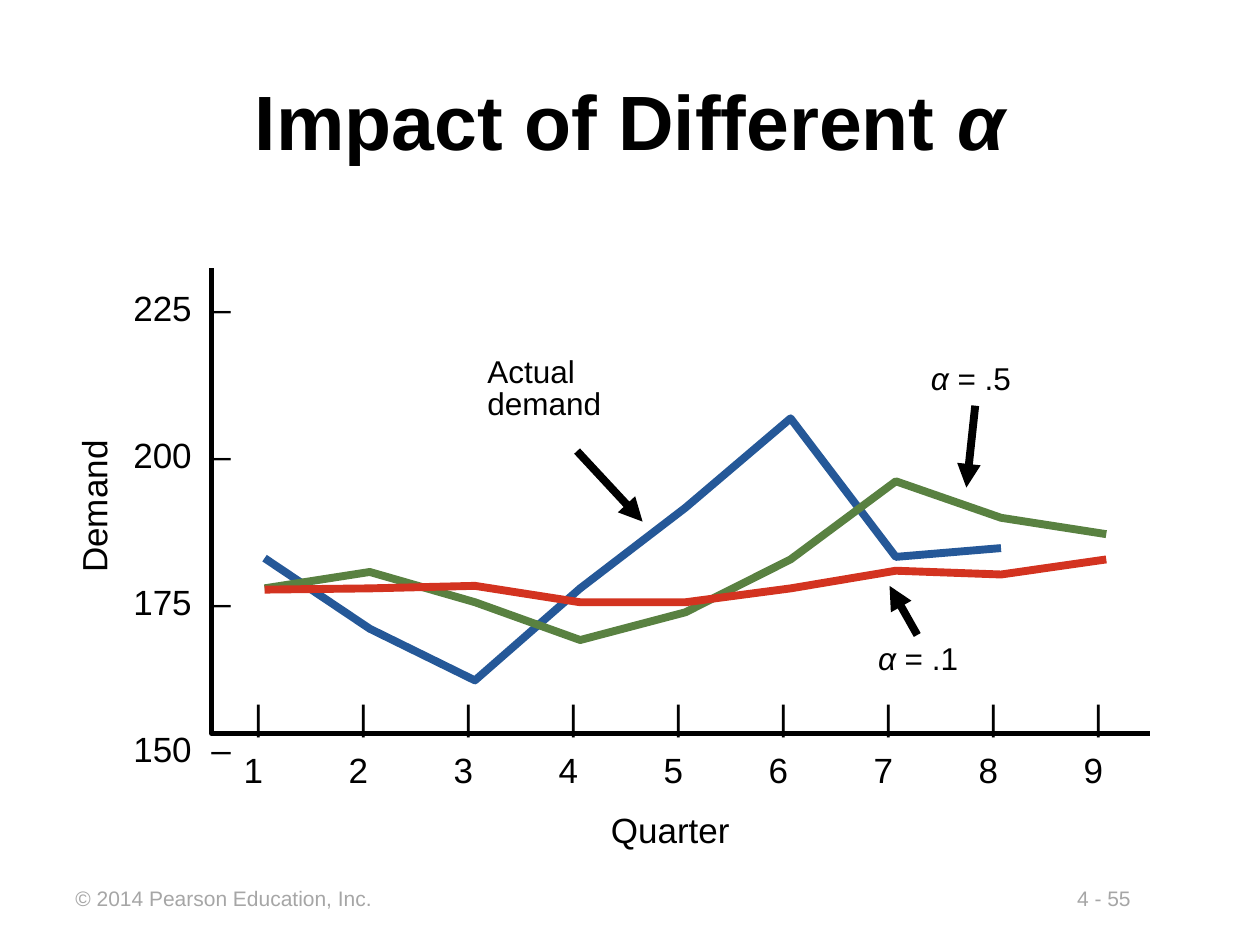
"""Build a slide comparing demand forecasts for two smoothing constants."""
from lxml import etree
from pptx import Presentation
from pptx.dml.color import RGBColor
from pptx.enum.shapes import MSO_CONNECTOR
from pptx.enum.text import MSO_ANCHOR, PP_ALIGN
from pptx.oxml.ns import qn
from pptx.util import Inches, Pt

STRAIGHT = MSO_CONNECTOR.STRAIGHT
LEFT, CENTER = PP_ALIGN.LEFT, PP_ALIGN.CENTER
MIDDLE = MSO_ANCHOR.MIDDLE
BLACK = RGBColor(0x00, 0x00, 0x00)
GRAY = RGBColor(0xA6, 0xA6, 0xA6)
BLUE = RGBColor(0x25, 0x58, 0x98)
GREEN = RGBColor(0x59, 0x81, 0x41)
RED = RGBColor(0xD3, 0x33, 0x20)
FONT = "Arial"

TITLE = [("Impact of Different ", False), ("α", True)]
FOOTERS = [
    ("© 2014 Pearson Education, Inc.", (0.5, 6.98, 2.55, 0.3)),
    ("4 - 55", (8.45, 6.98, 1.2, 0.3)),
]
DEMAND_LEVELS = [225, 200, 175, 150]
QUARTERS = range(1, 10)
FIRST_QUARTER_X, QUARTER_STEP = 2.1, 0.835
FIRST_TICK, TICK_STEP = 0.21, 0.8333
SERIES = [
    (BLUE, [4.43, 4.99, 5.4, 4.67, 4.03, 3.32, 4.42, 4.35]),
    (GREEN, [4.67, 4.54, 4.78, 5.08, 4.86, 4.44, 3.82, 4.11, 4.24]),
    (RED, [4.68, 4.67, 4.65, 4.78, 4.78, 4.67, 4.53, 4.56, 4.44]),
]
AXES = [(1.68, 2.13), (1.68, 5.82), (9.13, 5.82)]
CALLOUTS = [
    ([("α", True), (" = .1", False)], (6.87, 5.02, 0.85, 0.4), 1, (7.06, 4.65), (7.28, 5.04)),
    ([("Actual demand", False)], (3.77, 2.79, 1.56, 0.61), 0.85, (5.1, 4.14), (4.58, 3.58)),
    ([("α", True), (" = .5", False)], (7.29, 2.8, 0.85, 0.4), 1, (7.67, 3.87), (7.74, 3.22)),
]


def write_text(shape, paragraphs, size=20, color=BLACK, bold=False, align=LEFT,
               spacing=1, tabs=(), tab_kind="l"):
    """Fill a shape with paragraphs, each a list of (text, italic) runs."""
    frame = shape.text_frame
    frame.word_wrap = True
    for index, runs in enumerate(paragraphs):
        paragraph = frame.add_paragraph() if index else frame.paragraphs[0]
        if tabs:
            tab_list = etree.SubElement(paragraph._p.get_or_add_pPr(), qn("a:tabLst"))
            for position in tabs:
                etree.SubElement(tab_list, qn("a:tab"), pos=str(Inches(position)), algn=tab_kind)
        paragraph.alignment = align
        paragraph.line_spacing = spacing
        for text, italic in runs:
            run = paragraph.add_run()
            run.text = text
            run.font.name = FONT
            run.font.size = Pt(size)
            run.font.bold = bold
            run.font.italic = italic
            run.font.color.rgb = color


def add_text(slide, box, paragraphs, **text_format):
    """Add a text box and return it."""
    shape = slide.shapes.add_textbox(*map(Inches, box))
    shape.text_frame.margin_right = 0
    write_text(shape, paragraphs, **text_format)
    return shape


def add_polyline(slide, points, color, width):
    """Draw an open line through points given in inches."""
    corners = [(Inches(x), Inches(y)) for x, y in points]
    builder = slide.shapes.build_freeform(*corners[0])
    builder.add_line_segments(corners[1:], close=False)
    shape = builder.convert_to_shape()
    shape.shadow.inherit = False
    shape.fill.background()
    shape.line.color.rgb = color
    shape.line.width = Pt(width)


def add_arrow(slide, tip, tail):
    """Draw a thick arrow with its head at the tip."""
    connector = slide.shapes.add_connector(STRAIGHT, *map(Inches, tip + tail))
    connector.line.color.rgb = BLACK
    connector.line.width = Pt(4.5)
    etree.SubElement(connector.line._get_or_add_ln(), qn("a:headEnd"), type="triangle")
    etree.SubElement(connector._element.spPr, qn("a:effectLst"))


def add_axes(slide):
    """Draw the axes with their tick marks, labels and names."""
    levels = [[(f"{level}\t–", False)] for level in DEMAND_LEVELS]
    add_text(slide, (0.96, 1.39, 0.97, 4.77), levels, spacing=3.5, tabs=[0.62])
    add_polyline(slide, AXES, BLACK, 3)
    ticks = "".join("\t|" for _ in QUARTERS)
    numbers = "".join(f"\t{quarter}" for quarter in QUARTERS)
    stops = [FIRST_TICK + TICK_STEP * index for index in range(len(QUARTERS))]
    add_text(slide, (1.78, 5.39, 7.07, 0.94), [[(ticks, False)], [(numbers, False)]],
             spacing=1.25, tabs=stops, tab_kind="dec")
    add_text(slide, (4.75, 6.37, 1.14, 0.44), [[("Quarter", False)]])
    add_text(slide, (0.12, 3.8, 1.25, 0.44), [[("Demand", False)]]).rotation = 270


def main():
    presentation = Presentation()
    presentation.slide_width, presentation.slide_height = Inches(10), Inches(7.5)
    slide = presentation.slides.add_slide(presentation.slide_layouts[5])
    title = slide.shapes.title
    title.left, title.top, title.width, title.height = map(Inches, (0.75, 0.48, 8.5, 0.94))
    title.text_frame.vertical_anchor = MIDDLE
    write_text(title, [TITLE], size=44, bold=True, align=CENTER)
    for text, box in FOOTERS:
        add_text(slide, box, [[(text, False)]], size=12, color=GRAY)
    for color, heights in SERIES:
        points = [(FIRST_QUARTER_X + QUARTER_STEP * index, y) for index, y in enumerate(heights)]
        add_polyline(slide, points, color, 4.5)
    add_axes(slide)
    for runs, box, spacing, tip, tail in CALLOUTS:
        add_text(slide, box, [runs], size=18, spacing=spacing)
        add_arrow(slide, tip, tail)
    presentation.save("out.pptx")


if __name__ == "__main__":
    main()
